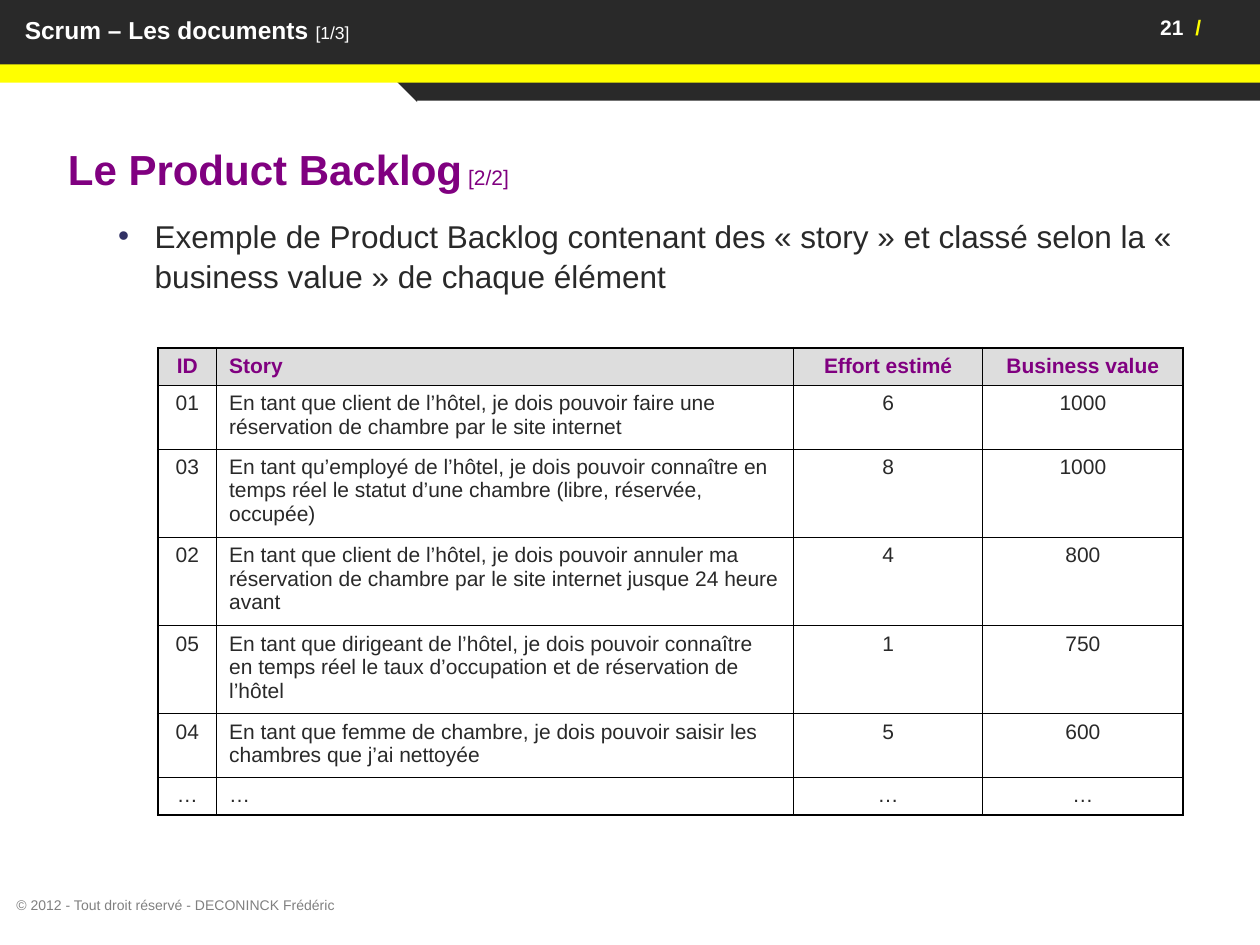
from dataclasses import dataclass

from lxml.etree import SubElement
from pptx import Presentation
from pptx.dml.color import RGBColor
from pptx.enum.shapes import MSO_SHAPE as Shape
from pptx.enum.text import MSO_ANCHOR as Anchor, PP_ALIGN as Align
from pptx.oxml.ns import qn
from pptx.util import Cm, Pt


@dataclass(frozen=True)
class Theme:
    font: str = "Arial"
    dark: str = "292929"
    yellow: str = "FFFF00"
    white: str = "FFFFFF"
    purple: str = "800080"
    bullet: str = "323265"
    header_fill: str = "DDDDDD"
    grey: str = "808080"
    line: str = "000000"
    heading: float = 24
    body: float = 18
    title: float = 14
    small: float = 12
    counter: float = 10
    footer: float = 8
    outer_line: float = 1.08
    inner_line: float = 0.45


theme = Theme()


def add_block(kind, left, top, width, height, fill=None, margins=(0, 0)):
    """Add a lineless shape; margins are horizontal and vertical, in cm."""
    shape = slide.shapes.add_shape(kind, Cm(left), Cm(top), Cm(width), Cm(height))
    shape.shadow.inherit = False
    shape.line.fill.background()
    if fill:
        shape.fill.solid()
        shape.fill.fore_color.rgb = RGBColor.from_string(fill)
    else:
        shape.fill.background()
    frame = shape.text_frame
    frame.word_wrap = True
    frame.vertical_anchor = Anchor.TOP
    frame.margin_left = frame.margin_right = Cm(margins[0])
    frame.margin_top = frame.margin_bottom = Cm(margins[1])
    frame.paragraphs[0].alignment = Align.LEFT
    return shape


def add_run(paragraph, text, size, color, bold=False):
    run = paragraph.add_run()
    run.text = text
    run.font.name = theme.font
    run.font.size = Pt(size)
    run.font.bold = bold
    run.font.color.rgb = RGBColor.from_string(color)


presentation = Presentation()
presentation.slide_width, presentation.slide_height = Cm(25.4), Cm(19.05)
slide = presentation.slides.add_slide(presentation.slide_layouts[6])

# Header band
corner = add_block(Shape.RIGHT_TRIANGLE, 7.85, 1.5, 0.56, 0.56, theme.dark)
corner.rotation = 180
add_block(Shape.RECTANGLE, 8.41, 1.65, 16.99, 0.38, theme.dark)
add_block(Shape.RECTANGLE, 0, 0, 25.4, 1.35, theme.dark)
add_block(Shape.RECTANGLE, 0, 1.3, 25.4, 0.37, theme.yellow)

page_number = add_block(Shape.RECTANGLE, 23.39, 0.3, 2.41, 0.51, theme.dark)
paragraph = page_number.text_frame.paragraphs[0]
tabs = SubElement(paragraph._p.get_or_add_pPr(), qn("a:tabLst"))
SubElement(tabs, qn("a:tab"), pos=str(Cm(0.71)), algn="l")
add_run(paragraph, "21\t", theme.small, theme.white, bold=True)
add_run(paragraph, "/", theme.small, theme.yellow, bold=True)

title = add_block(Shape.RECTANGLE, 0.25, 0.3, 23.14, 0.58, theme.dark, (0.25, 0))
paragraph = title.text_frame.paragraphs[0]
add_run(paragraph, "Scrum – Les documents ", theme.title, theme.white, bold=True)
add_run(paragraph, "[1/3]", theme.counter, theme.white)

# Heading and bullet
content = add_block(Shape.RECTANGLE, 1.12, 2.72, 23.29, 3.23, margins=(0.25, 0.13))
heading = content.text_frame.paragraphs[0]
heading.line_spacing = 1.05
heading.space_after = Pt(3)
add_run(heading, "Le Product Backlog", theme.heading, theme.purple, bold=True)
add_run(heading, " [2/2]", theme.small, theme.purple)

bullet = content.text_frame.add_paragraph()
bullet.alignment = Align.LEFT
bullet.line_spacing = 1.05
bullet.space_before = Pt(9)
bullet.level = 1
properties = bullet._p.get_or_add_pPr()
properties.set("marL", str(Cm(1.75)))
properties.set("indent", str(Cm(-0.74)))
bullet_color = SubElement(properties, qn("a:buClr"))
SubElement(bullet_color, qn("a:srgbClr"), val=theme.bullet)
SubElement(properties, qn("a:buFont"), typeface=theme.font)
SubElement(properties, qn("a:buChar"), char="•")
add_run(
    bullet,
    "Exemple de Product Backlog contenant des « story » et classé selon la "
    "« business value » de chaque élément",
    theme.body,
    theme.dark,
)

# Backlog table
backlog = [
    ("ID", "Story", "Effort estimé", "Business value"),
    ("01", "En tant que client de l’hôtel, je dois pouvoir faire une réservation "
     "de chambre par le site internet", "6", "1000"),
    ("03", "En tant qu’employé de l’hôtel, je dois pouvoir connaître en temps réel "
     "le statut d’une chambre (libre, réservée, occupée)", "8", "1000"),
    ("02", "En tant que client de l’hôtel, je dois pouvoir annuler ma réservation "
     "de chambre par le site internet jusque 24 heure avant", "4", "800"),
    ("05", "En tant que dirigeant de l’hôtel, je dois pouvoir connaître en temps réel "
     "le taux d’occupation et de réservation de l’hôtel", "1", "750"),
    ("04", "En tant que femme de chambre, je dois pouvoir saisir les chambres "
     "que j’ai nettoyée", "5", "600"),
    ("…", "…", "…", "…"),
]
column_widths = [1.19, 11.63, 3.81, 4.04]
row_heights = [0.76, 1.28, 1.78, 1.78, 1.78, 1.28, 0.76]
last_row, last_column = len(row_heights) - 1, len(column_widths) - 1

table = slide.shapes.add_table(
    len(row_heights), len(column_widths), Cm(3.18), Cm(7.01),
    Cm(sum(column_widths)), Cm(sum(row_heights)),
).table
table.first_row = table.horz_banding = False
for column, width in zip(table.columns, column_widths):
    column.width = Cm(width)
for row, height in zip(table.rows, row_heights):
    row.height = Cm(height)

for row_index, entries in enumerate(backlog):
    is_header = row_index == 0
    for column_index, text in enumerate(entries):
        cell = table.cell(row_index, column_index)
        cell.margin_left = cell.margin_right = Cm(0.25)
        cell.margin_top = cell.margin_bottom = Cm(0.13)
        outer_sides = {
            "a:lnL": column_index == 0,
            "a:lnR": column_index == last_column,
            "a:lnT": is_header,
            "a:lnB": row_index == last_row,
        }
        for side, is_outer in outer_sides.items():
            width = Pt(theme.outer_line if is_outer else theme.inner_line)
            border = SubElement(cell._tc.get_or_add_tcPr(), qn(side), w=str(width))
            border_fill = SubElement(border, qn("a:solidFill"))
            SubElement(border_fill, qn("a:srgbClr"), val=theme.line)
        if is_header:
            cell.fill.solid()
            cell.fill.fore_color.rgb = RGBColor.from_string(theme.header_fill)
        else:
            cell.fill.background()
        paragraph = cell.text_frame.paragraphs[0]
        paragraph.alignment = Align.LEFT if column_index == 1 else Align.CENTER
        color = theme.purple if is_header else theme.dark
        add_run(paragraph, text, theme.small, color, bold=is_header)

# Footer
footer = add_block(Shape.RECTANGLE, 0.33, 18.08, 18.95, 0.33)
footer.text_frame.vertical_anchor = Anchor.MIDDLE
add_run(footer.text_frame.paragraphs[0],
        "© 2012 - Tout droit réservé - DECONINCK Frédéric", theme.footer, theme.grey)

presentation.save("out.pptx")
